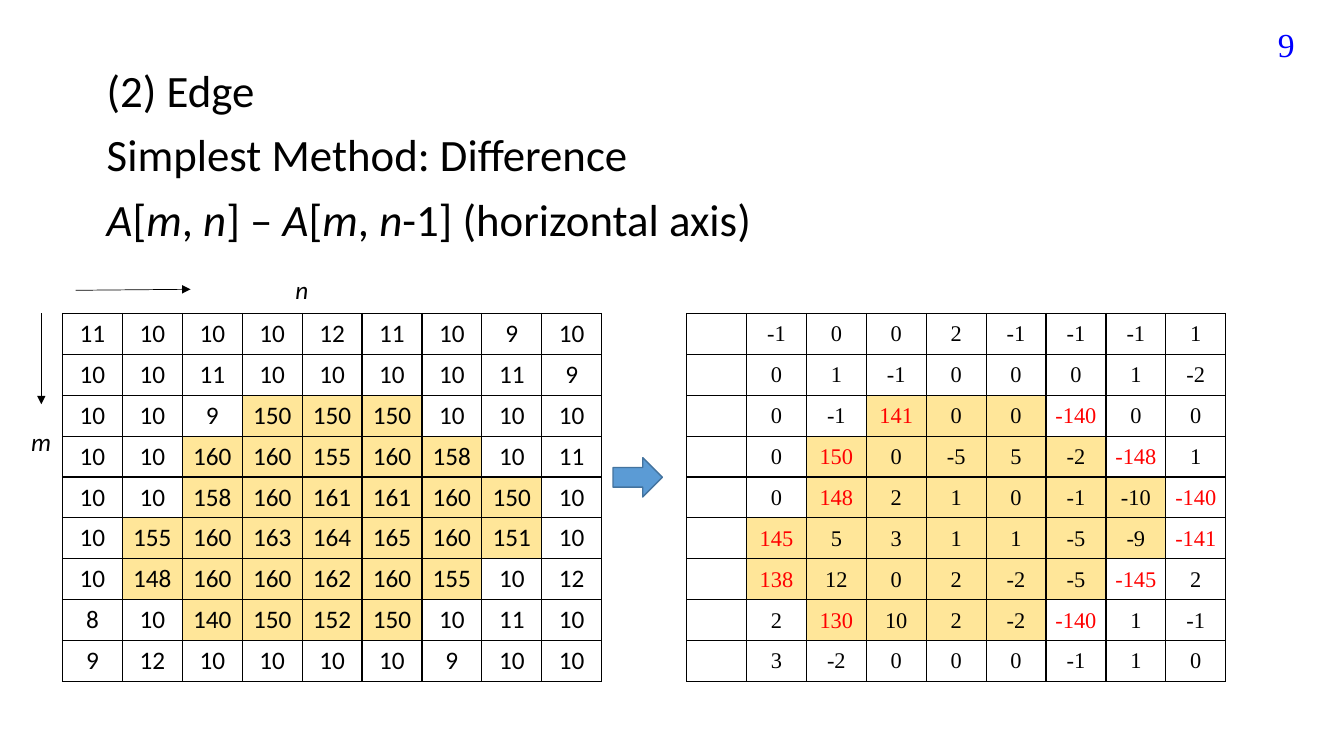
"""Build a slide showing horizontal differences as a simple edge detector."""
import pptx
import pptx.util
import pptx.dml.color
import pptx.enum.shapes
import pptx.enum.text
import pptx.oxml
import pptx.oxml.ns

Inches = pptx.util.Inches
Pt = pptx.util.Pt
RGBColor = pptx.dml.color.RGBColor
ALIGN = pptx.enum.text.PP_ALIGN
ANCHOR = pptx.enum.text.MSO_ANCHOR

BLACK = RGBColor(0x00, 0x00, 0x00)
RED = RGBColor(0xFF, 0x00, 0x00)
BLUE = RGBColor(0x00, 0x00, 0xFF)
OBJECT_YELLOW = RGBColor(0xFF, 0xE6, 0x99)
ARROW_BLUE = RGBColor(0x5B, 0x9B, 0xD5)
ARROW_OUTLINE = RGBColor(0x43, 0x73, 0x9E)
SANS, SERIF = "Calibri", "Times New Roman"

HEADING = [
    [("(2) Edge", False)],
    [("Simplest Method: Difference", False)],
    [("A", True), ("[", False), ("m", True), (", ", False), ("n", True), ("] – ", False),
     ("A", True), ("[", False), ("m", True), (", ", False), ("n", True),
     ("-1] (horizontal axis)", False)],
]
HEADING_WIDTHS = [7.76, 5.61, 7.76]
AXIS_LABELS = [("n", (2.83, 2.67, 0.55, 0.4)), ("m", (0.21, 4.18, 0.42, 0.4))]
AXIS_ARROWS = [(0.41, 3.11, 0.41, 4.01), (0.75, 2.88, 1.89, 2.87)]
PAGE_NUMBER = "9"
PIXELS = [
    [11, 10, 10, 10, 12, 11, 10, 9, 10],
    [10, 10, 11, 10, 10, 10, 10, 11, 9],
    [10, 10, 9, 150, 150, 150, 10, 10, 10],
    [10, 10, 160, 160, 155, 160, 158, 10, 11],
    [10, 10, 158, 160, 161, 161, 160, 150, 10],
    [10, 155, 160, 163, 164, 165, 160, 151, 10],
    [10, 148, 160, 160, 162, 160, 155, 10, 12],
    [8, 10, 140, 150, 152, 150, 10, 11, 10],
    [9, 12, 10, 10, 10, 10, 9, 10, 10],
]
EDGE_THRESHOLD = 100
GRID_TOP, GRID_WIDTH, GRID_HEIGHT = 3.11, 5.35, 3.65
PIXELS_LEFT, DIFFERENCES_LEFT = 0.62, 6.81

differences = [[None] + [right - left for left, right in zip(row, row[1:])] for row in PIXELS]

deck = pptx.Presentation()
deck.slide_width, deck.slide_height = Inches(13.33), Inches(7.5)
slide = deck.slides.add_slide(deck.slide_layouts[6])


def style_run(run, size, font, color, italic=False):
    run.font.size = Pt(size)
    run.font.name = font
    run.font.color.rgb = color
    run.font.italic = italic


def add_label(box, pieces, size, font=SANS, color=BLACK):
    label = slide.shapes.add_textbox(*map(Inches, box)).text_frame
    label.word_wrap = True
    for text, italic in pieces:
        run = label.paragraphs[0].add_run()
        run.text = text
        style_run(run, size, font, color, italic)
    return label


def border_cell(cell):
    properties = cell._tc.get_or_add_tcPr()
    for side in ("lnL", "lnR", "lnT", "lnB"):
        properties.append(pptx.oxml.parse_xml(
            f'<a:{side} {pptx.oxml.ns.nsdecls("a")} w="12700"><a:solidFill>'
            f'<a:srgbClr val="{BLACK}"/></a:solidFill></a:{side}>'))


def add_grid(left, values, size, font, tight):
    rows, columns = len(values), len(values[0])
    grid = slide.shapes.add_table(rows, columns, Inches(left), Inches(GRID_TOP),
                                  Inches(GRID_WIDTH), Inches(GRID_HEIGHT)).table
    grid.first_row = grid.horz_banding = False
    for m, row in enumerate(values):
        for n, value in enumerate(row):
            cell = grid.cell(m, n)
            border_cell(cell)
            if PIXELS[m][n] > EDGE_THRESHOLD:
                cell.fill.solid()
                cell.fill.fore_color.rgb = OBJECT_YELLOW
            else:
                cell.fill.background()
            if value is None:
                continue
            if tight:
                cell.margin_left = cell.margin_right = cell.margin_top = Inches(0.01)
                cell.margin_bottom = 0
                cell.vertical_anchor = ANCHOR.MIDDLE
            cell.text_frame.text = str(value)
            paragraph = cell.text_frame.paragraphs[0]
            paragraph.alignment = ALIGN.CENTER
            is_edge = tight and abs(value) > EDGE_THRESHOLD
            style_run(paragraph.runs[0], size, font, RED if is_edge else BLACK)


def add_axis_arrow(ends):
    axis = slide.shapes.add_connector(pptx.enum.shapes.MSO_CONNECTOR.STRAIGHT, *map(Inches, ends))
    axis.line.color.rgb = BLACK
    axis.line.width = Pt(0.5)
    namespace = pptx.oxml.ns.nsdecls("a")
    axis.line._get_or_add_ln().append(
        pptx.oxml.parse_xml(f'<a:tailEnd {namespace} type="triangle"/>'))
    axis._element.spPr.append(pptx.oxml.parse_xml(f"<a:effectLst {namespace}/>"))


for index, (pieces, width) in enumerate(zip(HEADING, HEADING_WIDTHS)):
    add_label((0.96, 0.57 + 0.64 * index, width, 0.64), pieces, 32)

add_grid(PIXELS_LEFT, PIXELS, 18, SANS, tight=False)

result_arrow = slide.shapes.add_shape(pptx.enum.shapes.MSO_SHAPE.RIGHT_ARROW,
                                      *map(Inches, (6.08, 4.54, 0.49, 0.39)))
result_arrow.shadow.inherit = False
result_arrow.fill.solid()
result_arrow.fill.fore_color.rgb = ARROW_BLUE
result_arrow.line.color.rgb = ARROW_OUTLINE
result_arrow.line.width = Pt(1)

add_grid(DIFFERENCES_LEFT, differences, 16, SERIF, tight=True)

for axis_name, box in AXIS_LABELS:
    add_label(box, [(axis_name, True)], 18)
for ends in AXIS_ARROWS:
    add_axis_arrow(ends)

page_number = add_label((12.04, 0.24, 0.9, 0.4), [(PAGE_NUMBER, False)], 24, SERIF, BLUE)
page_number.vertical_anchor = ANCHOR.MIDDLE
page_number.paragraphs[0].alignment = ALIGN.RIGHT

deck.save("out.pptx")
